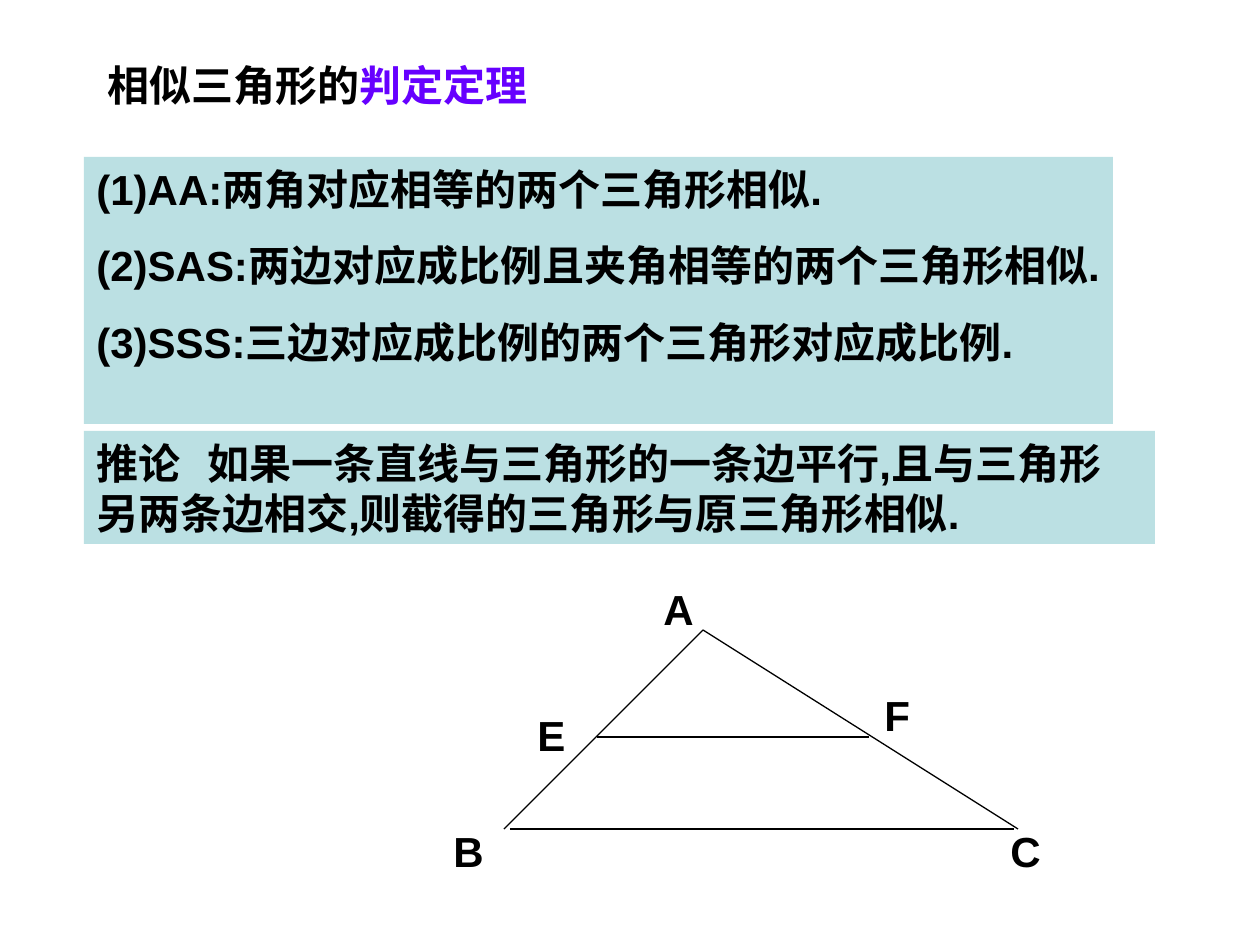
from dataclasses import dataclass

from lxml import etree
from pptx import Presentation
from pptx.dml.color import RGBColor
from pptx.enum.shapes import MSO_CONNECTOR, MSO_SHAPE
from pptx.enum.text import MSO_ANCHOR, MSO_AUTO_SIZE, PP_ALIGN
from pptx.oxml.ns import qn
from pptx.util import Emu, Pt

STRAIGHT = MSO_CONNECTOR.STRAIGHT
RECTANGLE = MSO_SHAPE.RECTANGLE
TOP = MSO_ANCHOR.TOP
GROW = MSO_AUTO_SIZE.SHAPE_TO_FIT_TEXT
LEFT = PP_ALIGN.LEFT
PX = 914400 // 126


@dataclass(frozen=True)
class Theme:
    ink: str = "000000"
    accent: str = "6600FF"
    panel: str = "BBE0E3"
    font: str = "Arial"
    size: int = 24
    paragraph_gap: int = 15
    line: float = 0.75


THEME = Theme()

SLIDE_SIZE = (1260, 945)
TITLE = [[("相似三角形的", THEME.ink), ("判定定理", THEME.accent)]]
TITLE_BOX = (95, 53, 504, 63)
PANELS = [
    ((84, 157, 1029, 267), [
        "(1)AA:两角对应相等的两个三角形相似.",
        "(2)SAS:两边对应成比例且夹角相等的两个三角形相似.",
        "(3)SSS:三边对应成比例的两个三角形对应成比例.",
    ]),
    ((84, 431, 1071, 113), [
        "推论\t如果一条直线与三角形的一条边平行,且与三角形另两条边相交,则截得的三角形与原三角形相似.",
    ]),
]
COROLLARY_TAB = 111
APEX = (703, 630)
TRIANGLE_SIDES = [
    (APEX, (504, 829)),
    (APEX, (1018, 829)),
    ((510, 829), (1014, 829)),
]
TRIANGLE_LABELS = {"A": (651, 577), "B": (441, 819), "C": (998, 819)}
PARALLEL = [((597, 737), (869, 737))]
PARALLEL_LABELS = {"E": (525, 703), "F": (872, 683)}
LABEL_SIZE = (84, 63)


def px(*lengths):
    return [Emu(length * PX) for length in lengths]


def write(shape, paragraphs, *, size=THEME.size, color=THEME.ink, bold=True, tab=None):
    frame = shape.text_frame
    frame.word_wrap = True
    frame.auto_size = GROW
    frame.vertical_anchor = TOP
    for index, content in enumerate(paragraphs):
        paragraph = frame.add_paragraph() if index else frame.paragraphs[0]
        paragraph.alignment = LEFT
        paragraph.space_before = Pt(THEME.paragraph_gap if index else 0)
        if tab:
            tabs = etree.SubElement(paragraph._p.get_or_add_pPr(), qn("a:tabLst"))
            etree.SubElement(tabs, qn("a:tab"), pos=str(tab * PX), algn="l")
        runs = [(content, color)] if isinstance(content, str) else content
        for words, ink in runs:
            run = paragraph.add_run()
            run.text = words
            run.font.name = THEME.font
            run.font.size = Pt(size)
            run.font.bold = bold
            run.font.color.rgb = RGBColor.from_string(ink)


def add_panel(shapes, box, paragraphs):
    panel = shapes.add_shape(RECTANGLE, *px(*box))
    panel.shadow.inherit = False
    panel.fill.solid()
    panel.fill.fore_color.rgb = RGBColor.from_string(THEME.panel)
    panel.line.fill.background()
    write(panel, paragraphs, tab=COROLLARY_TAB if "\t" in paragraphs[0] else None)


def draw_figure(shapes, segments, labels):
    for start, end in segments:
        side = shapes.add_connector(STRAIGHT, *px(*start, *end))
        side.line.color.rgb = RGBColor.from_string(THEME.ink)
        side.line.width = Pt(THEME.line)
        etree.SubElement(side._element.spPr, qn("a:effectLst"))
    for letter, corner in labels.items():
        write(shapes.add_textbox(*px(*corner, *LABEL_SIZE)), [letter])


def main():
    deck = Presentation()
    deck.slide_width, deck.slide_height = px(*SLIDE_SIZE)
    slide = deck.slides.add_slide(deck.slide_layouts[5])
    shapes = slide.shapes

    title = shapes.title
    title.left, title.top, title.width, title.height = px(*TITLE_BOX)
    write(title, TITLE)

    for box, paragraphs in PANELS:
        add_panel(shapes, box, paragraphs)

    draw_figure(shapes.add_group_shape().shapes, TRIANGLE_SIDES, TRIANGLE_LABELS)
    draw_figure(shapes, PARALLEL, PARALLEL_LABELS)
    deck.save("out.pptx")


if __name__ == "__main__":
    main()
